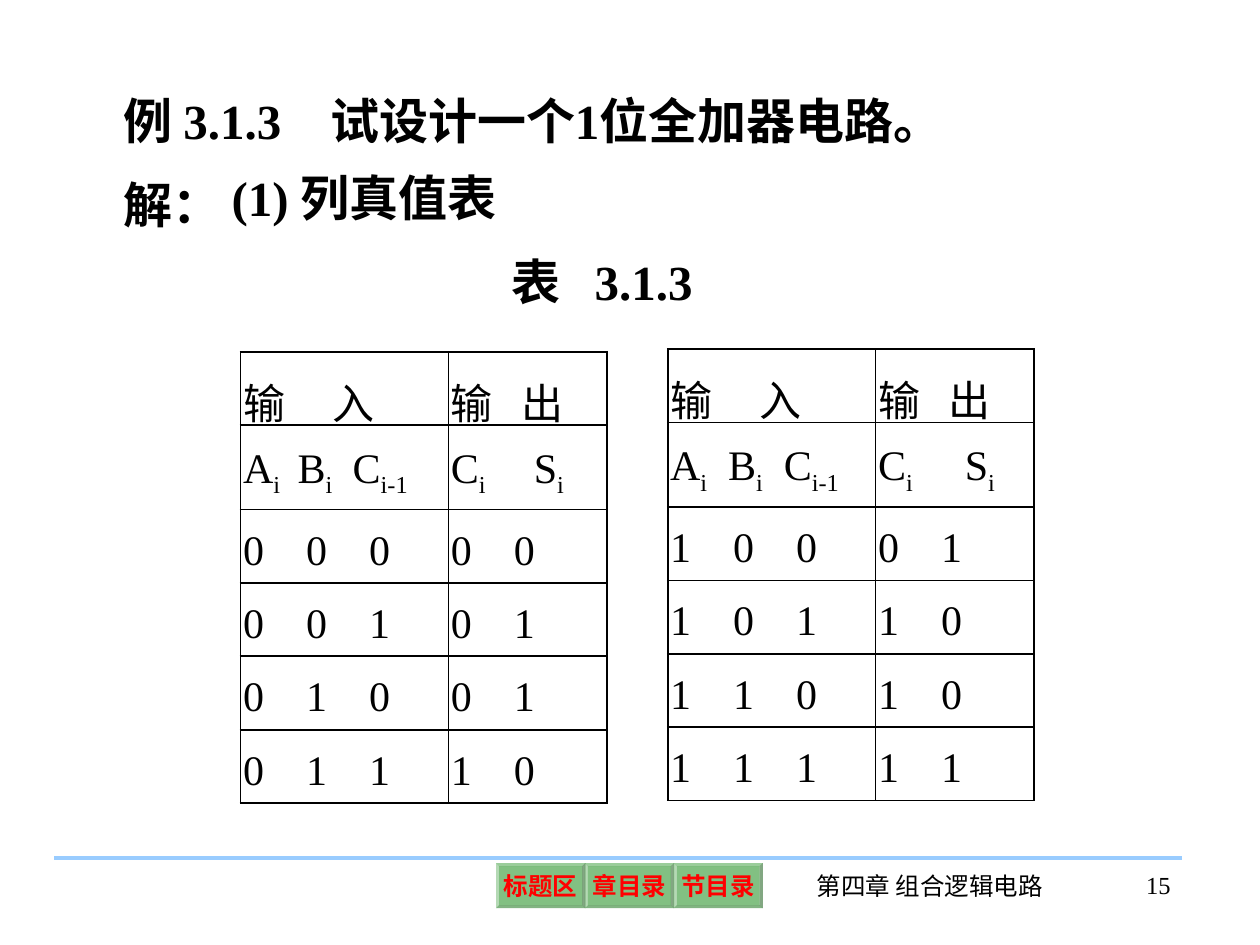
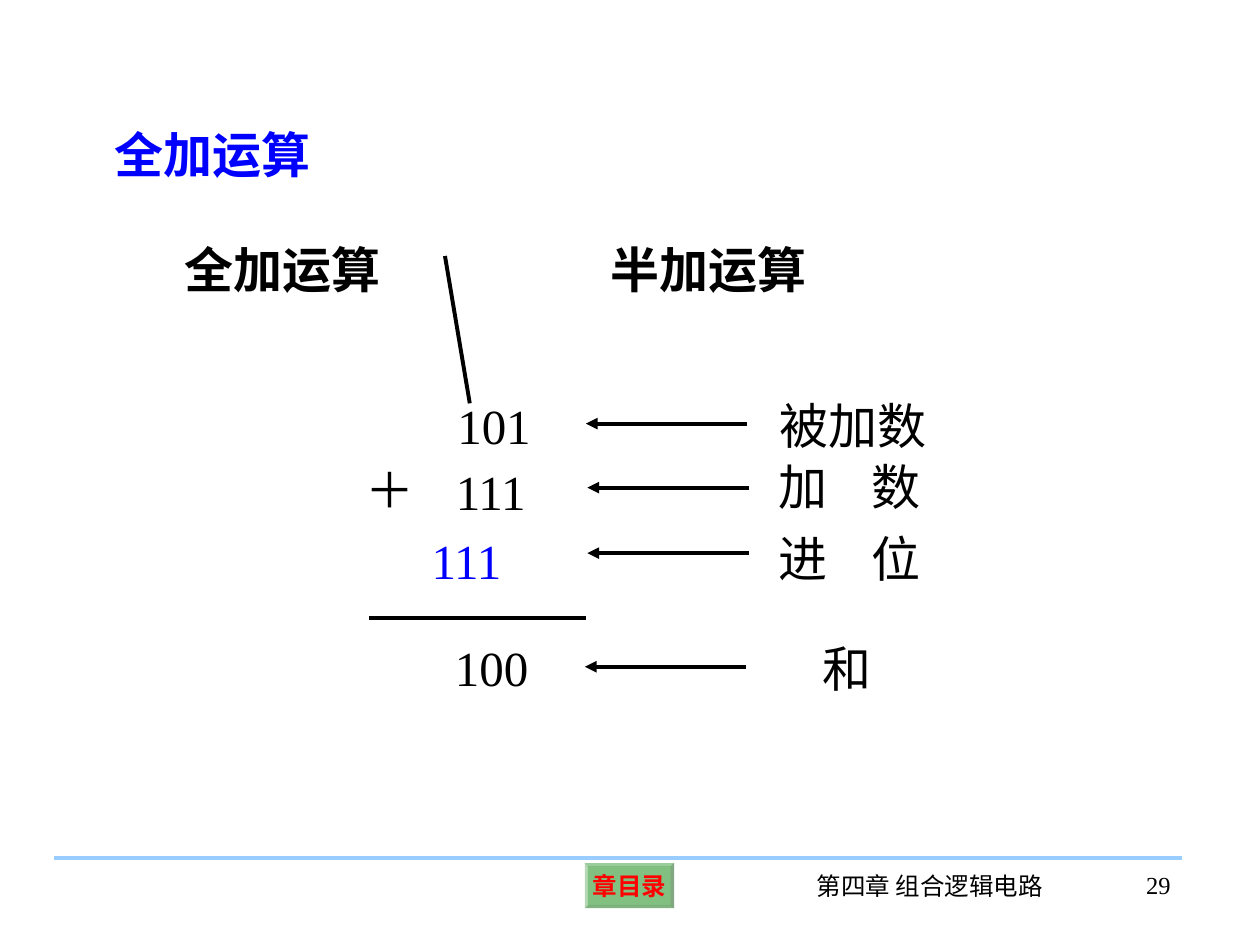
import dataclasses
import itertools

import pptx
import pptx.dml.color
import pptx.enum.shapes
import pptx.enum.text
import pptx.oxml
import pptx.oxml.ns
import pptx.util
from lxml import etree

Cm = pptx.util.Cm
Pt = pptx.util.Pt
Align = pptx.enum.text.PP_ALIGN
Anchor = pptx.enum.text.MSO_ANCHOR
Shape = pptx.enum.shapes.MSO_SHAPE
qn = pptx.oxml.ns.qn


@dataclasses.dataclass(frozen=True)
class Theme:
    font: str = "Times New Roman"
    black: str = "000000"
    blue: str = "0000FF"
    red: str = "FF0000"
    green: str = "008000"
    rule: str = "99CCFF"
    head: int = 28
    cell: int = 24
    foot: int = 14
    line: float = 2.25
    grid: float = 1.08


THEME = Theme()


def rgb(code):
    return pptx.dml.color.RGBColor.from_string(code)


def node(parent, tag, **attrs):
    return etree.SubElement(parent, qn(tag), attrs)


def write(para, runs, size=THEME.head, color=THEME.black, bold=False,
          align=Align.LEFT, tabs=()):
    """Fill a paragraph; a run that starts with "_" is a subscript."""
    if tabs:
        stops = node(para._p.get_or_add_pPr(), "a:tabLst")
        for stop in tabs:
            node(stops, "a:tab", pos=str(Cm(stop)), algn="l")
    para.alignment = align
    for text in runs:
        run = para.add_run()
        run.text = text.removeprefix("_")
        font = run.font
        font.name, font.size, font.bold = THEME.font, Pt(size), bold
        font.color.rgb = rgb(color)
        if text.startswith("_"):
            run._r.get_or_add_rPr().set("baseline", "-25000")


def pad(frame, side, top):
    frame.margin_left = frame.margin_right = Cm(side)
    frame.margin_top = frame.margin_bottom = Cm(top)


def label(slide, text, x, y, wide, high=1.45, inset=(0.25, 0.13), **style):
    box = slide.shapes.add_textbox(Cm(x), Cm(y), Cm(wide), Cm(high))
    frame = box.text_frame
    frame.word_wrap = True
    pad(frame, *inset)
    write(frame.paragraphs[0], [text], **style)


def line(slide, x1, y1, x2, y2, color=THEME.black, arrow=False):
    link = slide.shapes.add_connector(
        pptx.enum.shapes.MSO_CONNECTOR.STRAIGHT, Cm(x1), Cm(y1), Cm(x2), Cm(y2))
    link.line.color.rgb = rgb(color)
    link.line.width = Pt(THEME.line)
    if arrow:
        node(link.line._get_or_add_ln(), "a:tailEnd", type="triangle")
    node(link._element.spPr, "a:effectLst")


def button(slide, text, x):
    shape = slide.shapes.add_shape(Shape.BEVEL, Cm(x), Cm(17.4), Cm(1.8), Cm(0.91))
    shape.adjustments[0] = 0.07
    shape.shadow.inherit = False
    shape.fill.solid()
    shape.fill.fore_color.rgb = rgb(THEME.green)
    tint = shape._element.spPr.find(".//" + qn("a:srgbClr"))
    node(tint, "a:alpha", val="49000")
    shape.line.fill.background()
    frame = shape.text_frame
    frame.word_wrap = False
    frame.vertical_anchor = Anchor.MIDDLE
    pad(frame, 0.1, 0.1)
    write(frame.paragraphs[0], [text], THEME.foot, THEME.red, True, Align.CENTER)


def footer(slide, page):
    button(slide, "章目录", 11.79)
    line(slide, 1.09, 17.3, 23.83, 17.3, THEME.rule)
    label(slide, "第四章 组合逻辑电路", 15.85, 17.42, 5.79, 1.27,
          size=THEME.foot, align=Align.CENTER)
    label(slide, page, 21.67, 17.4, 2.18, 1.27, size=THEME.foot, align=Align.RIGHT)


def border(cell):
    props = cell._tc.get_or_add_tcPr()
    for side in ("a:lnL", "a:lnR", "a:lnT", "a:lnB"):
        edge = node(props, side, w=str(Pt(THEME.grid)))
        node(node(edge, "a:solidFill"), "a:srgbClr", val=THEME.black)


def truth(slide, a, x, y, names):
    """Table of the full adder for one value of A; names holds the tab stops."""
    bits, pair = (1.27, 2.54), (1.27,)
    rows = [
        ((["输\t入"], (1.8,)), (["输\t出"], (1.43,))),
        ((["A", "_i", "\tB", "_i", "\tC", "_i-1"], names[:2]),
         (["C", "_i", "\tS", "_i"], names[2:])),
    ]
    for b, c in itertools.product((0, 1), repeat=2):
        carry, total = divmod(a + b + c, 2)
        rows.append((([f"{a}\t{b}\t{c}"], bits), ([f"{carry}\t{total}"], pair)))

    highs = [1.47, 1.7] + [1.47] * 4
    wides = [4.19, 3.2]
    table = slide.shapes.add_table(
        len(rows), 2, Cm(x), Cm(y), Cm(sum(wides)), Cm(sum(highs))).table
    table.first_row = table.horz_banding = False
    for col, wide in zip(table.columns, wides):
        col.width = Cm(wide)
    for row, high, parts in zip(table.rows, highs, rows):
        row.height = Cm(high)
        for cell, (runs, tabs) in zip(row.cells, parts):
            border(cell)
            cell.fill.background()
            cell.vertical_anchor = Anchor.MIDDLE
            pad(cell, 0.05, 0.13)
            para = cell.text_frame.paragraphs[0]
            write(para, runs, THEME.cell, tabs=tabs)
            para.line_spacing = 1.2


def adder(slide):
    footer(slide, "15")
    label(slide, "例 3.1.3\t试设计一个1位全加器电路。", 2.24, 1.7, 21.16,
          bold=True, tabs=(4.17,))
    label(slide, "解：", 2.24, 3.38, 3.28, bold=True)
    label(slide, "(1) 列真值表", 4.42, 3.25, 6.45, bold=True)
    truth(slide, 0, 4.85, 7.09, (1.1, 2.21, 1.67))
    truth(slide, 1, 13.46, 7.04, (1.17, 2.29, 1.75))
    label(slide, "表\t3.1.3", 10.06, 4.95, 5.31, bold=True, tabs=(1.68,))
    button(slide, "标题区", 10)
    button(slide, "节目录", 13.58)


def column(slide):
    footer(slide, "29")
    label(slide, "全加运算", 2.06, 2.39, 6.17, color=THEME.blue, bold=True)
    label(slide, "＋", 7.11, 9.14, 1.5, align=Align.CENTER)
    line(slide, 7.44, 12.45, 11.81, 12.45)
    # number, its place, its colour, name, its place, arrow end
    terms = [
        ("101", 8.97, 7.85, THEME.black, "被加数", 15.47, 7.85, 11.81, 8.54),
        ("111", 8.94, 9.17, THEME.black, "加\t数", 15.44, 9.07, 11.84, 9.83),
        ("111", 8.45, 10.57, THEME.blue, "进\t位", 15.44, 10.52, 11.84, 11.15),
        ("100", 8.92, 12.73, THEME.black, "和", 16.34, 12.75, 11.79, 13.44),
    ]
    for digits, x, y, color, name, nx, ny, end, level in terms:
        label(slide, digits, x, y, 2.3, color=color)
        label(slide, name, nx, ny, 4, tabs=(1.88,))
        line(slide, end + 3.25, level, end, level, arrow=True)
    for name, x, wide in (("半加运算", 12.19, 4.19), ("全加运算", 3.45, 4.5)):
        label(slide, name, x, 4.83, wide, 1.7, (0, 0), bold=True, align=Align.CENTER)
    line(slide, 8.97, 5.16, 9.47, 8.13)


def main():
    deck = pptx.Presentation()
    deck.slide_width, deck.slide_height = Cm(25.4), Cm(19.05)
    for build in (adder, column):
        build(deck.slides.add_slide(deck.slide_layouts[6]))
    deck.save("out.pptx")


if __name__ == "__main__":
    main()
